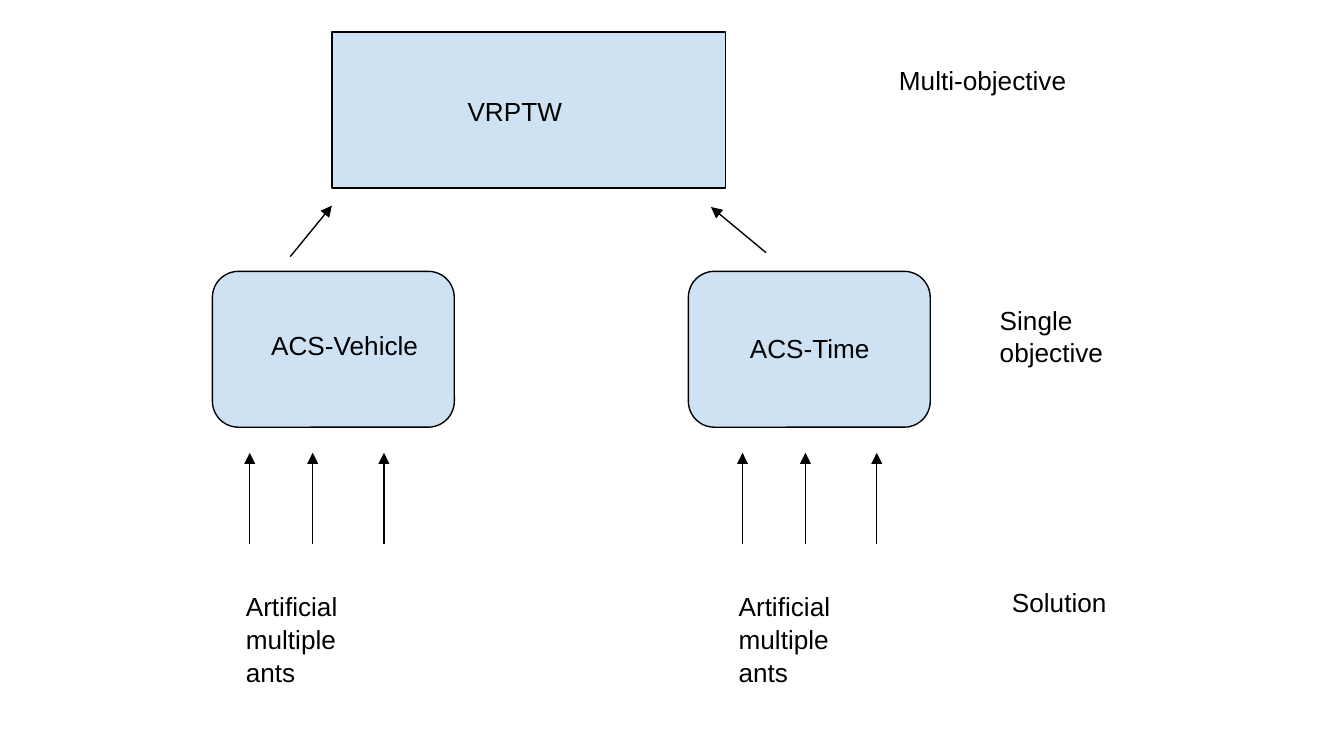
from pptx import Presentation
from pptx.dml.color import RGBColor as Rgb
from pptx.enum.shapes import MSO_CONNECTOR as Link, MSO_SHAPE as Form
from pptx.enum.text import MSO_ANCHOR as Anchor, PP_ALIGN as Align
from pptx.oxml.ns import qn
from pptx.util import Pt
from lxml.etree import SubElement as Sub

COLORS = {"fill": "CFE2F3", "ink": "000000"}


class Board:
    font, size, line, inset, lead = "Arial", 14, 0.75, 7.2, 1.05

    def __init__(self, slide):
        self.slide = slide

    def hue(self, name):
        return Rgb.from_string(COLORS[name])

    def box(self, form, x, y, w, h):
        shape = self.slide.shapes.add_shape(form, Pt(x), Pt(y), Pt(w), Pt(h))
        shape.shadow.inherit = False
        shape.fill.solid()
        shape.fill.fore_color.rgb = self.hue("fill")
        shape.line.color.rgb = self.hue("ink")
        shape.line.width = Pt(self.line)

    def arrow(self, x1, y1, x2, y2):
        """Draw a line with its arrowhead at the second point."""
        link = self.slide.shapes.add_connector(
            Link.STRAIGHT, Pt(x1), Pt(y1), Pt(x2), Pt(y2))
        link.line.color.rgb = self.hue("ink")
        link.line.width = Pt(self.line)
        Sub(link.line._get_or_add_ln(), qn("a:tailEnd"), type="triangle")
        Sub(link._element.spPr, qn("a:effectLst"))

    def label(self, text, x, y, w, h=31.7):
        area = self.slide.shapes.add_textbox(Pt(x), Pt(y), Pt(w), Pt(h))
        frame = area.text_frame
        frame.word_wrap = True
        frame.vertical_anchor = Anchor.TOP
        frame.margin_left = frame.margin_right = Pt(self.inset)
        frame.margin_top = frame.margin_bottom = Pt(self.inset)
        para = frame.paragraphs[0]
        para.alignment = Align.LEFT
        para.line_spacing = self.lead
        run = para.add_run()
        run.text = text
        run.font.name = self.font
        run.font.size = Pt(self.size)
        run.font.color.rgb = self.hue("ink")


def main():
    deck = Presentation()
    deck.slide_width, deck.slide_height = Pt(720), Pt(405)
    board = Board(deck.slides.add_slide(deck.slide_layouts[6]))

    board.box(Form.RECTANGLE, 177.8, 17.2, 211, 83.5)
    for x in (113.8, 368.8):
        board.box(Form.ROUNDED_RECTANGLE, x, 145.4, 129.6, 83.5)

    for shift in (0, 264):
        for x in (133.8, 167.5, 205.7):
            board.arrow(x + shift, 291.6, x + shift, 242.6)
        board.label("Artificial multiple ants", 124.6 + shift, 308.2, 87.1, 65.5)

    board.arrow(155.5, 137.5, 177.8, 110.2)
    board.arrow(410.4, 135.4, 380.9, 110.9)

    board.label("ACS-Vehicle", 138.2, 168.5, 97.9)
    board.label("ACS-Time", 394.6, 169.9, 87.1)
    board.label("VRPTW", 243.4, 43.2, 110.9)

    board.label("Multi-objective", 474.5, 26.6, 110.9)
    board.label("Single objective", 528.5, 154.8, 71.3, 48.2)
    board.label("Solution", 535, 306, 71.3)

    deck.save("out.pptx")


if __name__ == "__main__":
    main()
